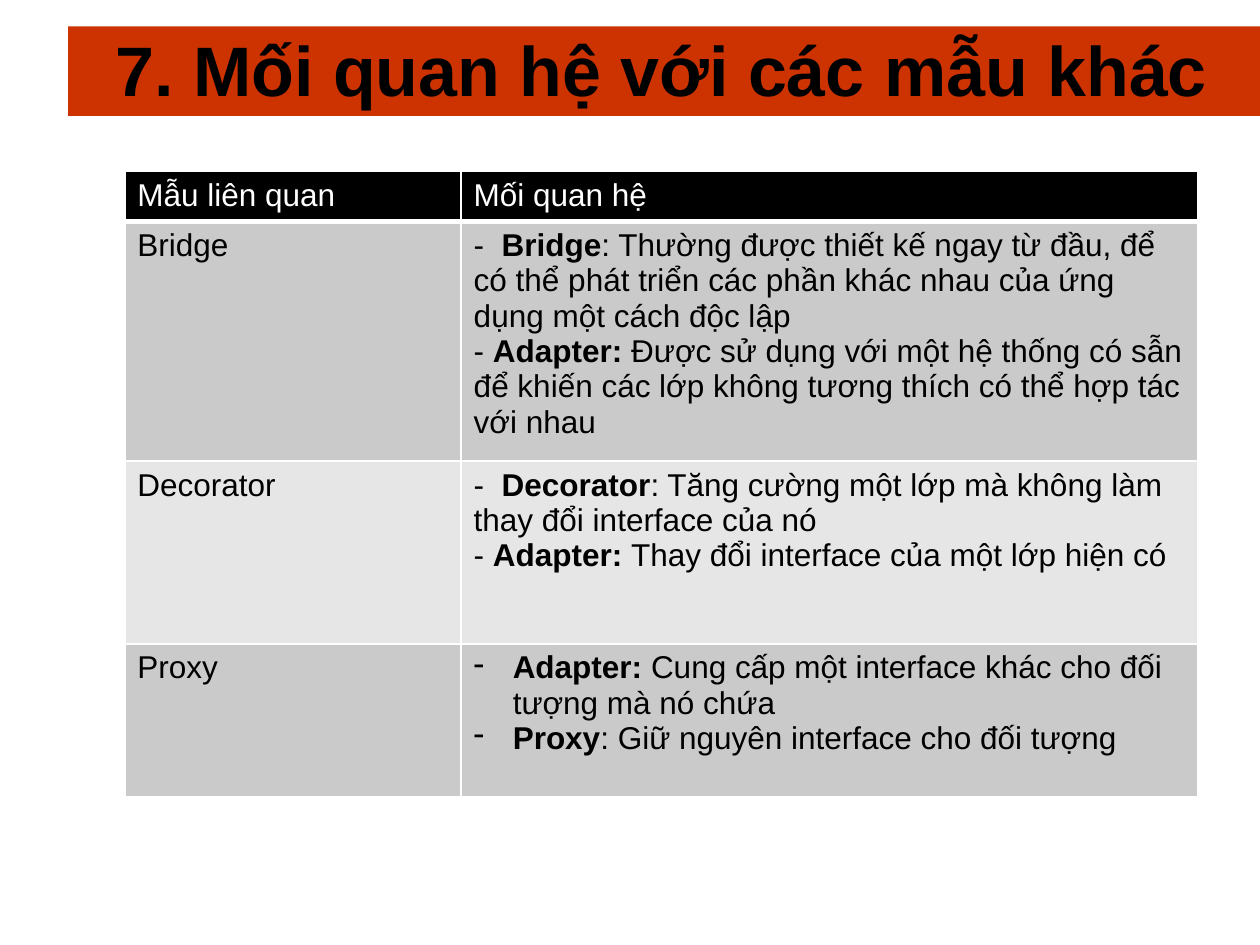
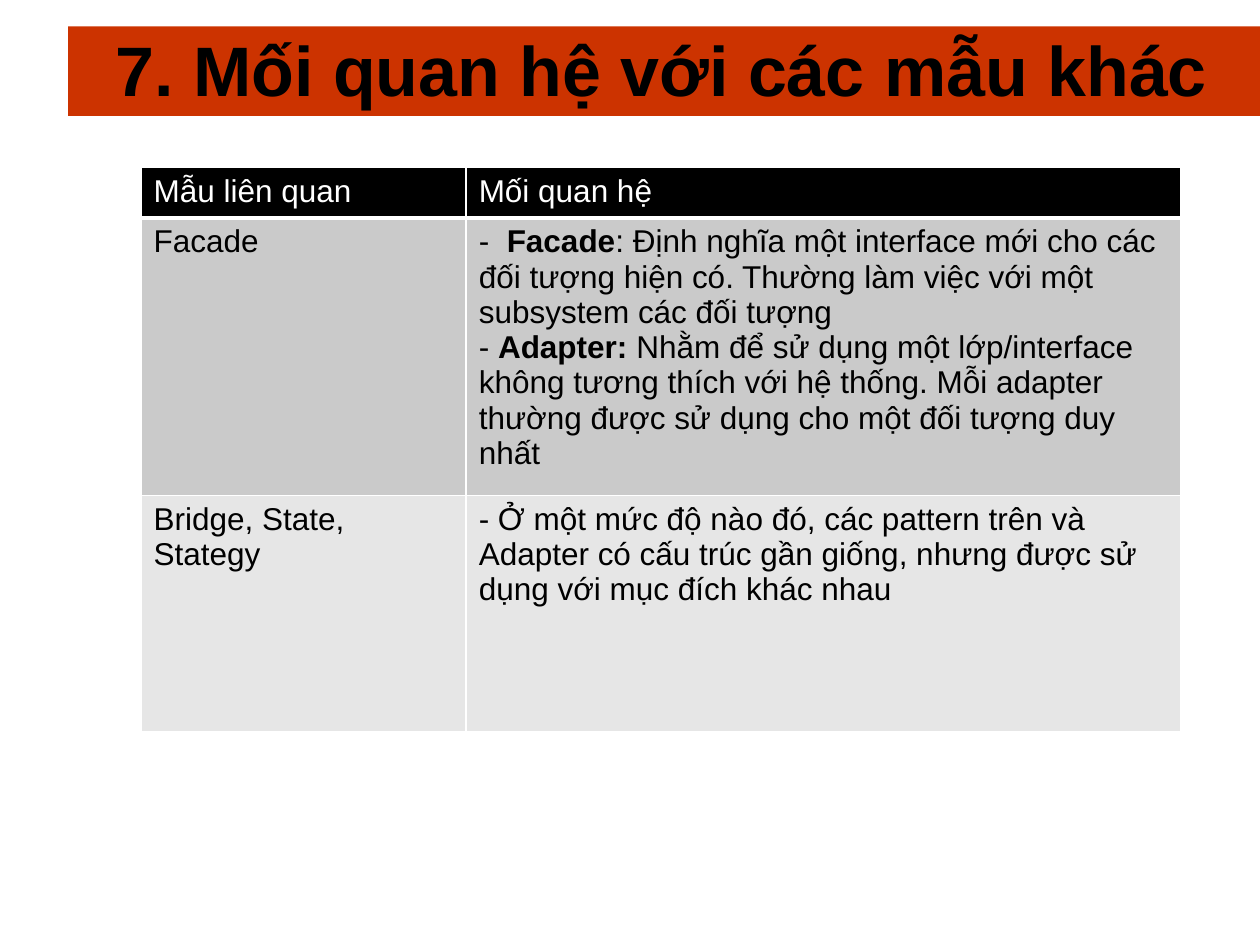
from lxml.etree import SubElement
from pptx import Presentation
from pptx.dml.color import RGBColor as Rgb
from pptx.enum.shapes import MSO_SHAPE as Shape
from pptx.enum.text import MSO_ANCHOR as Anchor, PP_ALIGN as Align
from pptx.oxml.ns import qn
from pptx.util import Inches, Pt

# Content: a paragraph is (lead, bold term, rest); the lead "*" marks a hanging dash
TITLE = "7. Mối quan hệ với các mẫu khác"
HEADINGS = ("Mẫu liên quan", "Mối quan hệ")
SLIDES = [
    {"left": 0.99, "top": 1.36, "columns": (2.67, 5.85), "heading_height": 0.37,
     "patterns": [
         ("Bridge", 1.78, [
             ("-  ", "Bridge", ": Thường được thiết kế ngay từ đầu, để có thể phát triển "
              "các phần khác nhau của ứng dụng một cách độc lập"),
             ("- ", "Adapter: ", "Được sử dụng với một hệ thống có sẫn để khiến các lớp "
              "không tương thích có thể hợp tác với nhau")]),
         ("Decorator", 1.45, [
             ("-  ", "Decorator", ": Tăng cường một lớp mà không làm thay đổi interface của nó"),
             ("- ", "Adapter: ", "Thay đổi interface của một lớp hiện có")]),
         ("Proxy", 1.21, [
             ("*", "Adapter: ", "Cung cấp một interface khác cho đối tượng mà nó chứa"),
             ("*", "Proxy", ": Giữ nguyên interface cho đối tượng")]),
     ]},
    {"left": 1.12, "top": 1.33, "columns": (2.58, 5.67), "heading_height": 0.37,
     "patterns": [
         ("Facade", 2.06, [
             ("-  ", "Facade", ": Định nghĩa một interface mới cho các đối tượng hiện có. "
              "Thường làm việc với một subsystem các đối tượng"),
             ("- ", "Adapter: ", "Nhằm để sử dụng một lớp/interface không tương thích với "
              "hệ thống. Mỗi adapter thường được sử dụng cho một đối tượng duy nhất")]),
         ("Bridge, State, Stategy", 1.88, [
             ("- ", "", "Ở một mức độ nào đó, các pattern trên và Adapter có cấu trúc gần "
              "giống, nhưng được sử dụng với mục đích khác nhau")]),
     ]},
]

THEME = {
    "font": "Arial", "title_size": 40, "table_size": 18,
    "ink": "000000", "paper": "FFFFFF", "band": "CC3300",
    "heading": "000000", "stripes": ("CACACA", "E6E6E6"),
    "rule": 1, "heading_rule": 3, "hanging": 0.31,
}
BAND_BOX = (0.54, 0.21, 9.46, 0.71)
TITLE_BOX = (0.5, 0.17, 9.5, 0.75)


def add_run(paragraph, text, size, color, bold=False):
    run = paragraph.add_run()
    run.text = text
    for name, value in {"name": THEME["font"], "size": Pt(size), "bold": bold}.items():
        setattr(run.font, name, value)
    run.font.color.rgb = Rgb.from_string(color)


def add_title(slide):
    band = slide.shapes.add_shape(Shape.RECTANGLE, *map(Inches, BAND_BOX))
    band.shadow.inherit = False
    band.fill.solid()
    band.fill.fore_color.rgb = Rgb.from_string(THEME["band"])
    band.line.fill.background()
    frame = slide.shapes.add_textbox(*map(Inches, TITLE_BOX)).text_frame
    for name, value in {"word_wrap": True, "vertical_anchor": Anchor.MIDDLE}.items():
        setattr(frame, name, value)
    frame.paragraphs[0].alignment = Align.CENTER
    add_run(frame.paragraphs[0], TITLE, THEME["title_size"], THEME["ink"], True)


def hang_dash(paragraph):
    properties = paragraph._p.get_or_add_pPr()
    properties.set("marL", str(Inches(THEME["hanging"])))
    properties.set("indent", str(-Inches(THEME["hanging"])))
    SubElement(properties, qn("a:buFontTx"))
    SubElement(properties, qn("a:buChar"), char="-")


def fill_cell(cell, paragraphs, fill, color, top_rule, bottom_rule):
    # Borders come before the fill in the cell properties
    properties = cell._tc.get_or_add_tcPr()
    rules = {"L": THEME["rule"], "R": THEME["rule"], "T": top_rule, "B": bottom_rule}
    for side, width in rules.items():
        rule = SubElement(properties, qn(f"a:ln{side}"), w=str(Pt(width)))
        SubElement(SubElement(rule, qn("a:solidFill")), qn("a:srgbClr"), val=THEME["paper"])
    cell.fill.solid()
    cell.fill.fore_color.rgb = Rgb.from_string(fill)
    frame = cell.text_frame
    for index, (lead, term, rest) in enumerate(paragraphs):
        paragraph = frame.add_paragraph() if index else frame.paragraphs[0]
        if lead == "*":
            hang_dash(paragraph)
            lead = ""
        for text, bold in ((lead, False), (term, True), (rest, False)):
            if text:
                add_run(paragraph, text, THEME["table_size"], color, bold)


def add_patterns(slide, content):
    # Heading row, then one striped row for each pattern
    rows = [(content["heading_height"], [[("", "", text)] for text in HEADINGS])]
    rows += [(height, [[("", "", name)], relations])
             for name, height, relations in content["patterns"]]
    widths = content["columns"]
    box = (content["left"], content["top"], sum(widths), sum(height for height, _ in rows))
    table = slide.shapes.add_table(len(rows), len(widths), *map(Inches, box)).table
    for column, width in zip(table.columns, widths):
        column.width = Inches(width)
    for index, (height, cells) in enumerate(rows):
        table.rows[index].height = Inches(height)
        fill = THEME["stripes"][(index - 1) % 2] if index else THEME["heading"]
        color = THEME["ink"] if index else THEME["paper"]
        top_rule = THEME["heading_rule"] if index == 1 else THEME["rule"]
        bottom_rule = THEME["rule"] if index else THEME["heading_rule"]
        for cell, paragraphs in zip(table.rows[index].cells, cells):
            fill_cell(cell, paragraphs, fill, color, top_rule, bottom_rule)


def main():
    deck = Presentation()
    deck.slide_width, deck.slide_height = Inches(10), Inches(7.5)
    for content in SLIDES:
        slide = deck.slides.add_slide(deck.slide_layouts[6])
        add_title(slide)
        add_patterns(slide, content)
    deck.save("out.pptx")


if __name__ == "__main__":
    main()
